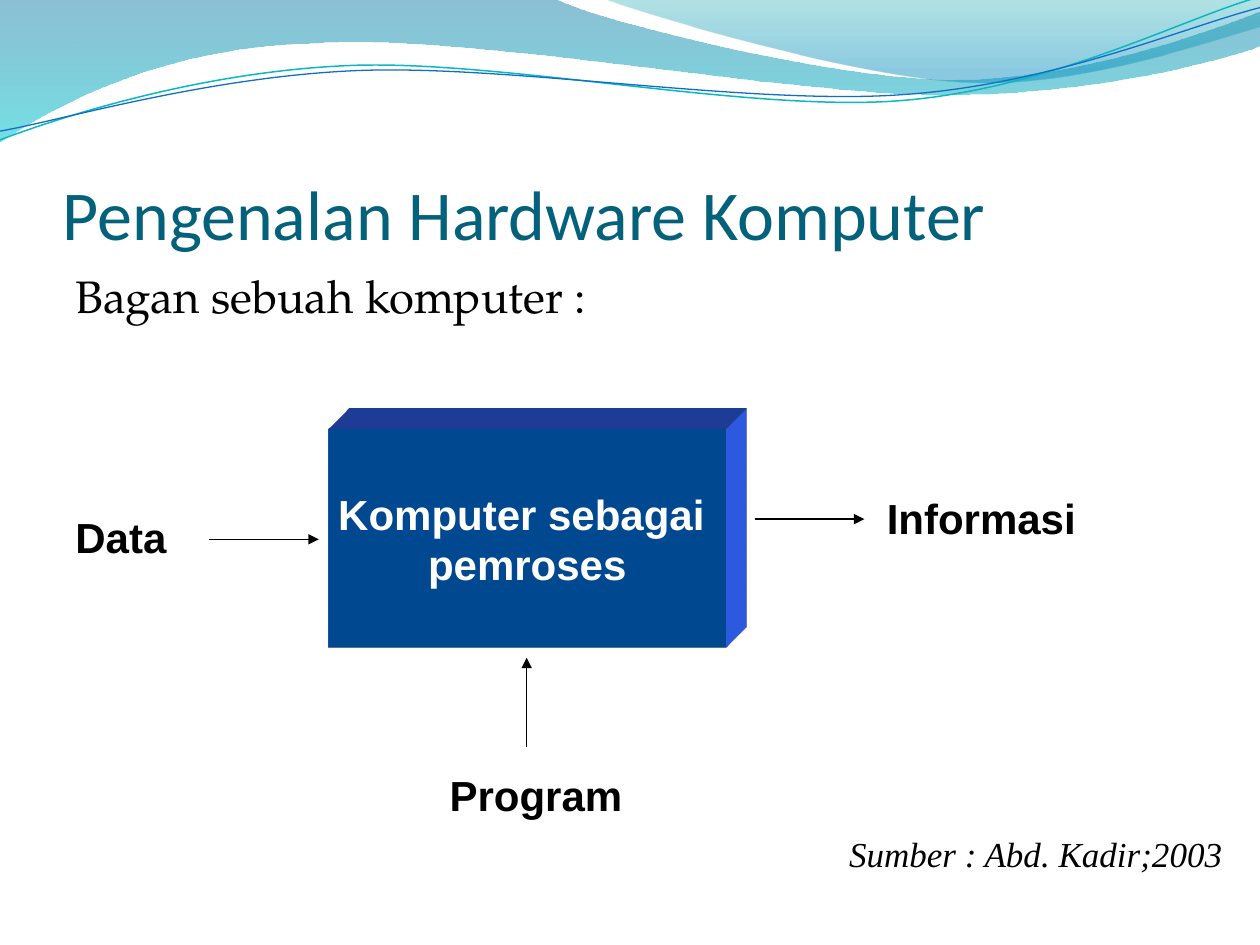
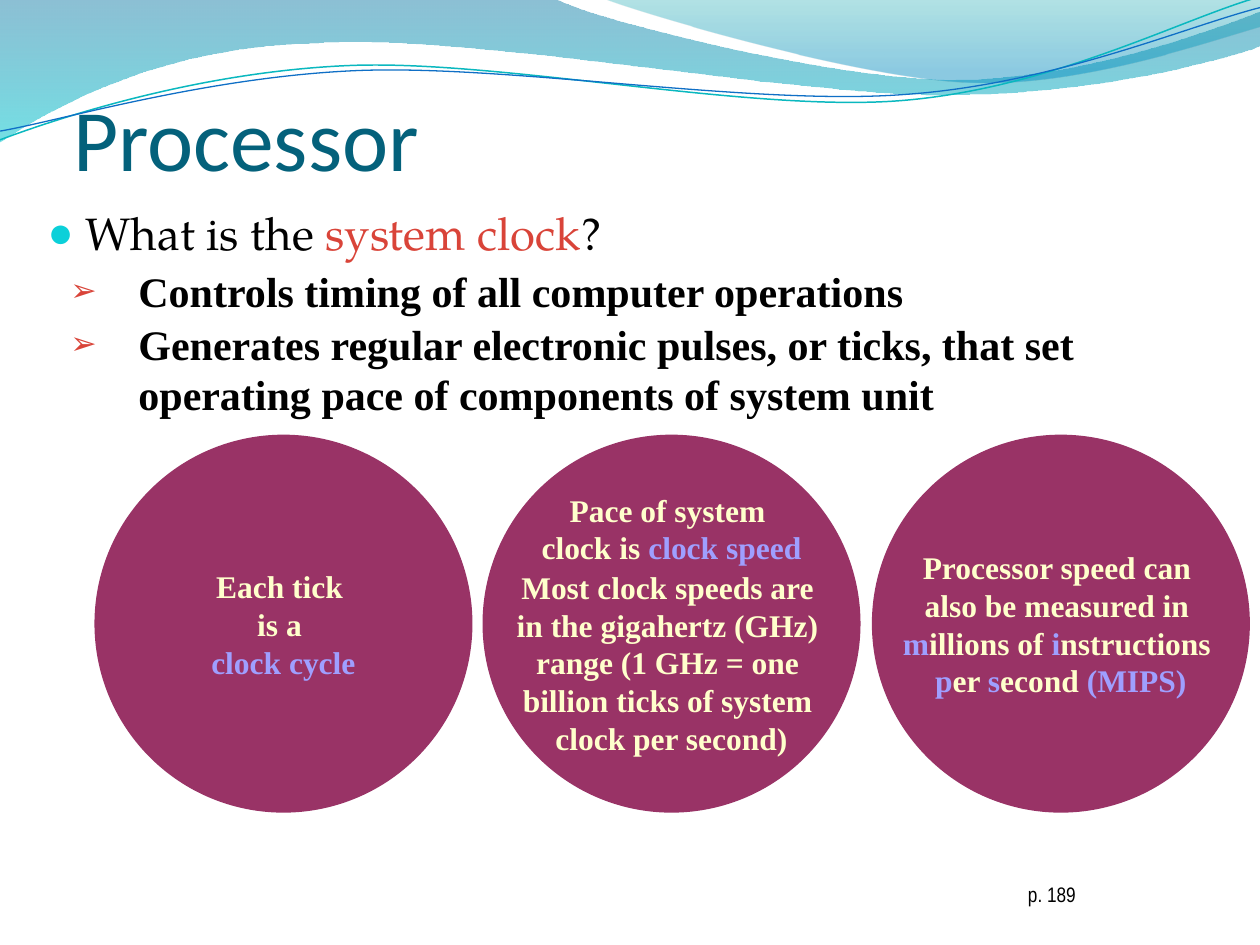
import math

import pptx
import pptx.dml.color
import pptx.enum.shapes
import pptx.enum.text
import pptx.oxml.ns
import pptx.util
from lxml import etree

RGB = pptx.dml.color.RGBColor
KINDS = pptx.enum.shapes.MSO_SHAPE
ALIGN = pptx.enum.text.PP_ALIGN
ANCHOR = pptx.enum.text.MSO_ANCHOR
FIT = pptx.enum.text.MSO_AUTO_SIZE
Pt = pptx.util.Pt
qn = pptx.oxml.ns.qn

SCALE = 9144
TILT = 2.7

BLACK = RGB(0x00, 0x00, 0x00)
WHITE = RGB(0xFF, 0xFF, 0xFF)
TITLE = RGB(0x04, 0x61, 0x7B)
FRONT = RGB(0x00, 0x66, 0xCC)
SIDE = RGB(0x33, 0x66, 0xFF)
PLUM = RGB(0x99, 0x33, 0x66)
CREAM = RGB(0xFF, 0xFF, 0xCC)
LILAC = RGB(0x9F, 0x9F, 0xFF)
RED = RGB(0xD9, 0x44, 0x39)
CYAN = RGB(0x0B, 0xD0, 0xD9)
DEEP = RGB(0x00, 0x74, 0xA1)
AQUA = RGB(0x00, 0xC6, 0xCF)
TEAL = RGB(0x00, 0xA1, 0xA9)
AZURE = RGB(0x00, 0x8B, 0xBF)
LINE_TEAL = RGB(0x0A, 0xB8, 0xBF)
LINE_BLUE = RGB(0x0F, 0x6F, 0xC6)

SANS = "Calibri"
BODY = "TeX Gyre Pagella"
SERIF = "Times New Roman"
ARIAL = "Arial"
NARROW = "Arial Narrow"

BANDS = [
    ([(-1, 0), (440, -1), (476, 17, 664, 63, 758, 63), (853, 63, 958, 26, 1000, 9),
      (1001, 36), (983, 44, 870, 76, 746, 75), (622, 75, 382, 28, 257, 34),
      (129, 36, 46, 83, -1, 113), (-1, 0)],
     [(0, DEEP, 45), (1, AQUA, 55)]),
    ([(479, -1), (509, 11, 682, 62, 769, 65), (856, 69, 961, 32, 1000, 21),
      (1000, 0), (479, -1)],
     [(0, TEAL, 30), (0.8, AZURE, 45)]),
]
CURVES = [
    ([(0, 111), (48, 93, 158, 57, 277, 52), (395, 47, 593, 89, 713, 80),
      (833, 71, 938, 15, 998, -2)], (499, 57), LINE_TEAL, 0.85),
    ([(0, 104), (47, 96, 164, 61, 283, 56), (403, 51, 597, 84, 717, 75),
      (836, 67, 941, 21, 1000, 6)], (499, 59), LINE_BLUE, 0.75),
]


def px(*sizes):
    return [round(size * SCALE) for size in sizes]


def turn(dot, hub):
    angle = math.radians(TILT)
    x, y = dot[0] - hub[0], dot[1] - hub[1]
    return (hub[0] + x * math.cos(angle) - y * math.sin(angle),
            hub[1] + x * math.sin(angle) + y * math.cos(angle))


def outline(slide, path, close=True, hub=None):
    dots = [part[i:i + 2] for part in path for i in range(0, len(part), 2)]
    if hub:
        dots = [turn(dot, hub) for dot in dots]
    dots = [px(*dot) for dot in dots]
    pen = slide.shapes.build_freeform(*dots[0], scale=1.0)
    pen.add_line_segments(dots[1:], close=close)
    shape = pen.convert_to_shape()
    shape.shadow.inherit = False
    nodes = iter(list(shape._element.iter(qn("a:lnTo"))))
    for part in path[1:]:
        group = [next(nodes) for _ in range(len(part) // 2)]
        if len(group) == 3:
            curve = etree.Element(qn("a:cubicBezTo"))
            group[0].addprevious(curve)
            for node in group:
                curve.append(node[0])
                node.getparent().remove(node)
    return shape


def paint(shape, tone):
    shape.shadow.inherit = False
    shape.fill.solid()
    shape.fill.fore_color.rgb = tone
    shape.line.fill.background()


def add_band(slide, path, stops):
    shape = outline(slide, path)
    shape.line.fill.background()
    shape.fill.gradient()
    shape.fill.gradient_angle = 270
    for stop, (place, tone, clear) in zip(shape.fill.gradient_stops, stops):
        stop.position = place
        stop.color.rgb = tone
    tones = shape.fill._xPr.iter(qn("a:srgbClr"))
    for node, (place, tone, clear) in zip(tones, stops):
        etree.SubElement(node, qn("a:alpha"), val=str(clear * 1000))


def add_curve(slide, path, hub, tone, width):
    shape = outline(slide, path, close=False, hub=hub)
    shape.rotation = 360 - TILT
    shape.fill.background()
    shape.line.color.rgb = tone
    shape.line.width = Pt(width)


def add_waves(slide):
    for band in BANDS:
        add_band(slide, *band)
    for curve in CURVES:
        add_curve(slide, *curve)


def set_bullet(para, mark, tone, size, left, hang):
    props = para._p.get_or_add_pPr()
    props.set("marL", str(px(left)[0]))
    props.set("indent", str(px(-hang)[0]))
    color = etree.SubElement(props, qn("a:buClr"))
    etree.SubElement(color, qn("a:srgbClr"), val=str(tone))
    etree.SubElement(props, qn("a:buSzPct"), val=str(size * 1000))
    etree.SubElement(props, qn("a:buFont"), typeface="Arial")
    etree.SubElement(props, qn("a:buChar"), char=mark)


def write(shape, paras, font, size, bold=False, slant=False, align=ALIGN.LEFT,
          anchor=ANCHOR.TOP, wrap=False, inset=(10, 5, 10, 5), bullet=None, gap=0):
    frame = shape.text_frame
    frame.word_wrap = wrap
    frame.vertical_anchor = anchor
    (frame.margin_left, frame.margin_top,
     frame.margin_right, frame.margin_bottom) = px(*inset)
    for index, runs in enumerate(paras):
        para = frame.add_paragraph() if index else frame.paragraphs[0]
        para.alignment = align
        if index and gap:
            para.space_before = Pt(gap)
        if bullet:
            set_bullet(para, *bullet)
        for words, tone in runs:
            for row, line in enumerate(words.split("\n")):
                if row:
                    para.add_line_break()
                if line:
                    run = para.add_run()
                    run.text = line
                    run.font.name = font
                    run.font.size = Pt(size)
                    run.font.bold = bold
                    run.font.italic = slant
                    run.font.color.rgb = tone


def add_text(slide, place, paras, font, size, **style):
    box = slide.shapes.add_textbox(*px(*place))
    write(box, paras, font, size, **style)
    if not box.text_frame.word_wrap:
        box.text_frame.auto_size = FIT.SHAPE_TO_FIT_TEXT


def add_title(slide, left, top, words, size):
    add_text(slide, (left, top, 900, 125), [[(words, TITLE)]], SANS, size,
             anchor=ANCHOR.BOTTOM, wrap=True, inset=(0, 5, 0, 0))


def add_label(slide, place, words):
    add_text(slide, place, [[(words, BLACK)]], ARIAL, 24, bold=True)


def add_block(slide, place, paras):
    block = slide.shapes.add_shape(KINDS.RECTANGLE, *px(*place))
    paint(block, FRONT)
    props = block._element.spPr
    scene = etree.SubElement(props, qn("a:scene3d"))
    etree.SubElement(scene, qn("a:camera"), prst="legacyObliqueTopRight")
    etree.SubElement(scene, qn("a:lightRig"), rig="legacyFlat3", dir="b")
    solid = etree.SubElement(props, qn("a:sp3d"), extrusionH=str(px(47)[0]),
                             prstMaterial="legacyMatrix")
    color = etree.SubElement(solid, qn("a:extrusionClr"))
    etree.SubElement(color, qn("a:srgbClr"), val=str(SIDE))
    write(block, paras, ARIAL, 24, bold=True, align=ALIGN.CENTER, anchor=ANCHOR.MIDDLE)


def add_arrow(slide, *ends):
    kind = pptx.enum.shapes.MSO_CONNECTOR.STRAIGHT
    arrow = slide.shapes.add_connector(kind, *px(*ends))
    arrow.line.color.rgb = BLACK
    arrow.line.width = Pt(0.75)
    etree.SubElement(arrow.line._get_or_add_ln(), qn("a:tailEnd"), type="triangle")
    etree.SubElement(arrow._element.spPr, qn("a:effectLst"))


def add_disc(slide, left, paras):
    disc = slide.shapes.add_shape(KINDS.OVAL, *px(left, 345, 300, 300))
    paint(disc, PLUM)
    write(disc, paras, SERIF, 18, bold=True, align=ALIGN.CENTER,
          anchor=ANCHOR.MIDDLE, inset=(0, 0, 0, 0), gap=0.9)


def draw_scheme(slide):
    add_title(slide, 50, 77, "Pengenalan Hardware Komputer", 40)
    add_text(slide, (50, 208, 900, 49), [[("Bagan sebuah komputer :", BLACK)]],
             BODY, 26, wrap=True)
    add_block(slide, (261, 341, 315, 173),
              [[("Komputer sebagai ", WHITE)], [("pemroses", WHITE)]])
    add_label(slide, (50, 401, 93, 50), "Data")
    add_label(slide, (694, 386, 170, 50), "Informasi")
    add_label(slide, (347, 606, 157, 50), "Program")
    add_arrow(slide, 166, 428, 253, 428)
    add_arrow(slide, 599, 412, 686, 412)
    add_arrow(slide, 418, 593, 418, 522)
    add_text(slide, (664, 656, 317, 43), [[("Sumber : Abd. Kadir;2003", BLACK)]],
             SERIF, 20, slant=True)


def draw_clock(slide):
    add_title(slide, 58, 25, "Processor", 50)
    add_text(slide, (28, 158, 939, 70),
             [[("What is the ", BLACK), ("system clock", RED), ("?", BLACK)]],
             BODY, 26, wrap=True, bullet=("●", CYAN, 95, 30, 30))
    discs = [
        [[("Each tick \nis a \n", CREAM), ("clock cycle", LILAC)]],
        [[("Pace of system \nclock is ", CREAM), ("clock speed", LILAC)],
         [("Most clock speeds are \nin the gigahertz (GHz) \nrange (1 GHz = one \n"
           "billion ticks of system \nclock per second)", CREAM)]],
        [[("Processor speed can \nalso be measured in \n", CREAM), ("m", LILAC),
          ("illions of ", CREAM), ("i", LILAC), ("nstructions \n", CREAM),
          ("p", LILAC), ("er ", CREAM), ("s", LILAC), ("econd ", CREAM),
          ("(MIPS)", LILAC)]],
    ]
    for index, paras in enumerate(discs):
        add_disc(slide, 75 + index * 617 // 2, paras)
    add_text(slide, (33, 206, 939, 206),
             [[("Controls timing of all computer operations", BLACK)],
              [("Generates regular electronic pulses, or ticks, that set "
                "operating pace of components of system unit", BLACK)]],
             SERIF, 24, bold=True, wrap=True, bullet=("➢", RED, 75, 67, 54), gap=1.2)
    add_text(slide, (806, 695, 169, 30), [[("p. 189", BLACK)]], NARROW, 12, wrap=True)


def main():
    deck = pptx.Presentation()
    deck.slide_width, deck.slide_height = px(1000, 750)
    for draw in (draw_scheme, draw_clock):
        slide = deck.slides.add_slide(deck.slide_layouts[6])
        add_waves(slide)
        draw(slide)
    deck.save("out.pptx")


if __name__ == "__main__":
    main()
